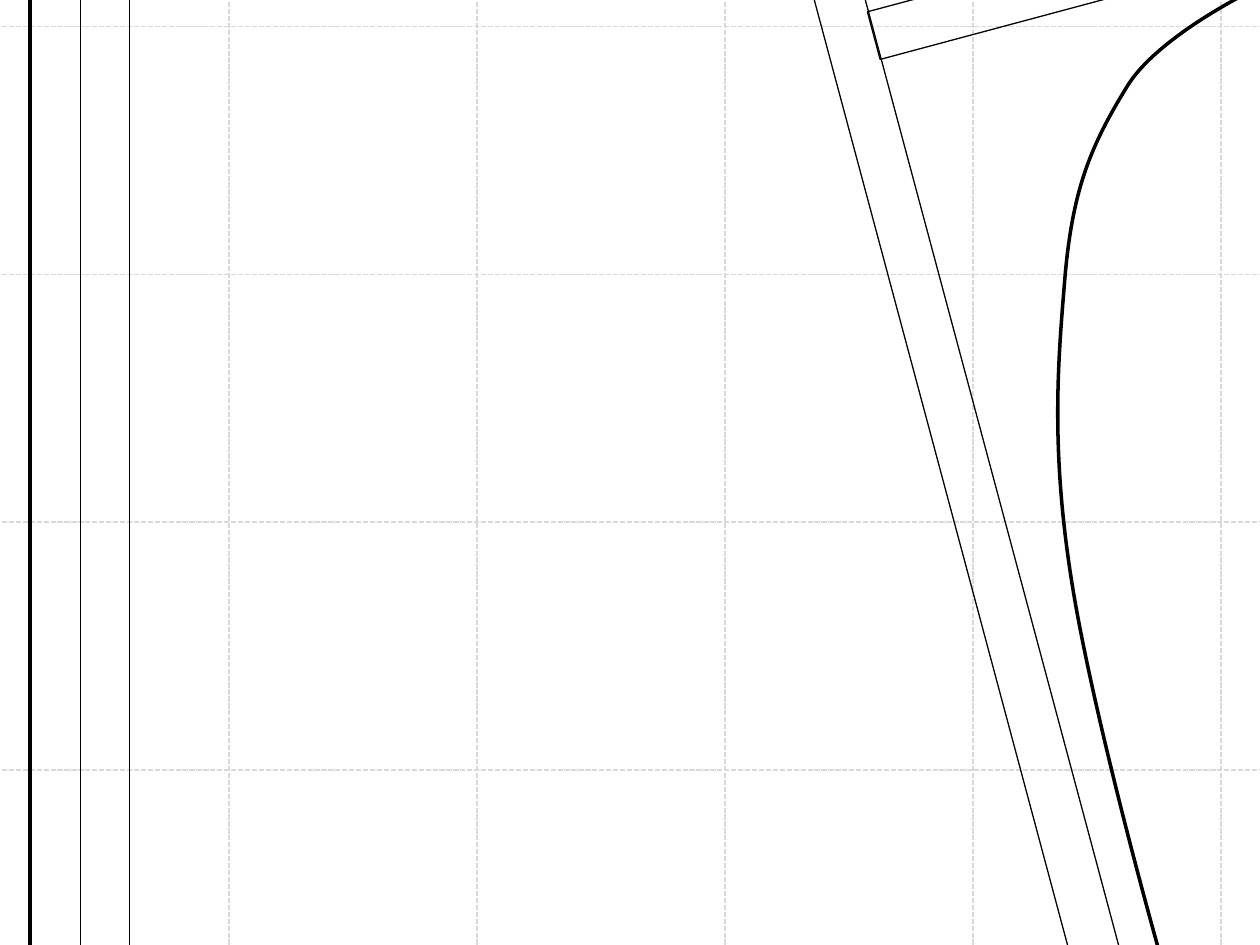
from lxml.etree import SubElement
from pptx import Presentation
from pptx.dml.color import RGBColor
from pptx.enum.dml import MSO_LINE
from pptx.enum.shapes import MSO_CONNECTOR, MSO_SHAPE
from pptx.oxml.ns import qn
from pptx.util import Pt

COLORS = {"grid": "D9D9D9", "ink": "000000"}
PITCH = 141.7
CURVE = [
    (163.4, 0),
    (140.4, 1.4), (61.2, 39.6), (40.3, 73.4),
    (19.4, 107.3), (8.6, 132.5), (4.3, 185),
    (0, 237.6), (-5, 294.5), (14.4, 390.2),
    (33.8, 486.7), (82.1, 663.1), (120.2, 762.5),
    (158.4, 861.8), (195.8, 923.8), (244.8, 987.1),
    (293, 1050.5), (334.1, 1102.3), (411.1, 1142.6),
    (488.2, 1183), (655.9, 1215.4), (704.9, 1230.5),
]


def style_line(sp, color, width):
    """Set the line colour and width of a shape or connector."""
    sp.line.color.rgb = RGBColor.from_string(COLORS[color])
    sp.line.width = Pt(width)


def add_line(shapes, x1, y1, x2, y2, color, width):
    """Draw a straight connector without a shadow."""
    line = shapes.add_connector(
        MSO_CONNECTOR.STRAIGHT, Pt(x1), Pt(y1), Pt(x2), Pt(y2))
    style_line(line, color, width)
    SubElement(line._element.spPr, qn("a:effectLst"))
    return line


def add_grid(shapes, x, y, w, h):
    """Draw the dashed grid lines that cross the slide."""
    columns = [(x + i * PITCH, y, x + i * PITCH, y + h) for i in range(1, 6)]
    rows = [(x, y + i * PITCH, x + w, y + i * PITCH) for i in range(5, 9)]
    for ends in columns + rows:
        line = add_line(shapes, *ends, "grid", 1)
        line.line.dash_style = MSO_LINE.SQUARE_DOT


def add_strip(shapes, x, y, w, h, rotation=0):
    """Draw an unfilled strip, turned about its centre."""
    sp = shapes.add_shape(MSO_SHAPE.RECTANGLE, Pt(x), Pt(y), Pt(w), Pt(h))
    sp.rotation = rotation
    sp.shadow.inherit = False
    sp.fill.background()
    style_line(sp, "ink", 0.75)


def add_curve(shapes, x, y):
    """Draw the Bezier curve, taking its points three to a segment."""
    points = [(Pt(x + dx), Pt(y + dy)) for dx, dy in CURVE]
    builder = shapes.build_freeform(*points[0])
    builder.add_line_segments(points[1:], close=False)
    sp = builder.convert_to_shape()
    sp.shadow.inherit = False
    sp.fill.background()
    style_line(sp, "ink", 2)
    path = next(sp._element.iter(qn("a:path")))
    segments = path.findall(qn("a:lnTo"))
    for i in range(0, len(segments), 3):
        bezier = SubElement(path, qn("a:cubicBezTo"))
        for segment in segments[i:i + 3]:
            bezier.append(segment[0])
            path.remove(segment)


def main():
    """Build the slide and save it."""
    prs = Presentation()
    prs.slide_width, prs.slide_height = Pt(720), Pt(540)
    slide = prs.slides.add_slide(prs.slide_layouts[6])
    shapes = slide.shapes.add_group_shape().shapes
    add_grid(shapes, -10.8, -693.4, 12 * PITCH, 16 * PITCH)
    add_strip(shapes, 46, -194.4, 28.2, 1684)
    add_strip(shapes, 586.1, -288, 28.2, 1473.8, 345)
    add_strip(shapes, 594.7, -122.4, 28.2, 226.8, 255)
    add_line(shapes, 17.3, -204.5, 17.3, 1545.8, "ink", 2)
    add_curve(shapes, 604.1, -24.5)
    prs.save("out.pptx")


if __name__ == "__main__":
    main()
